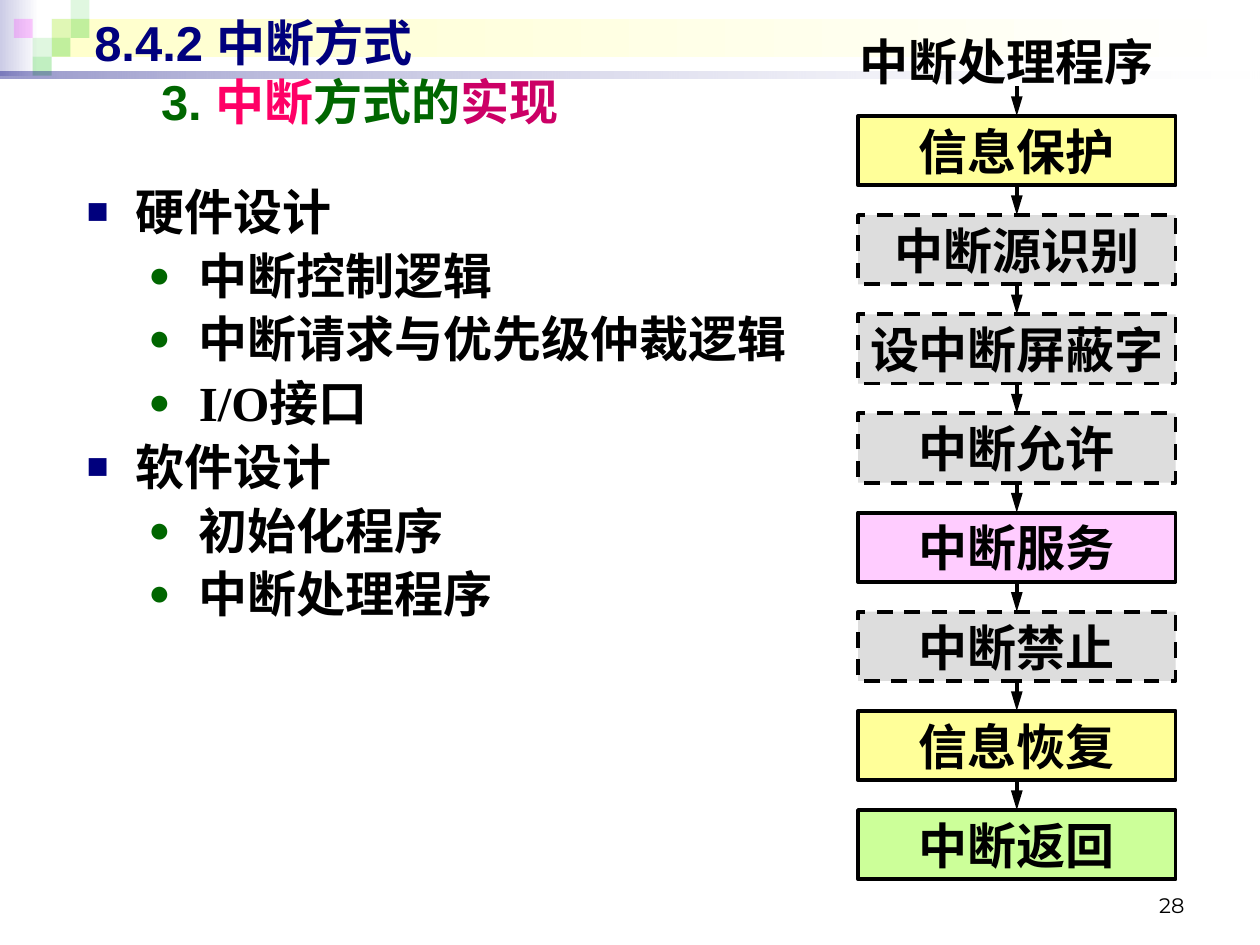
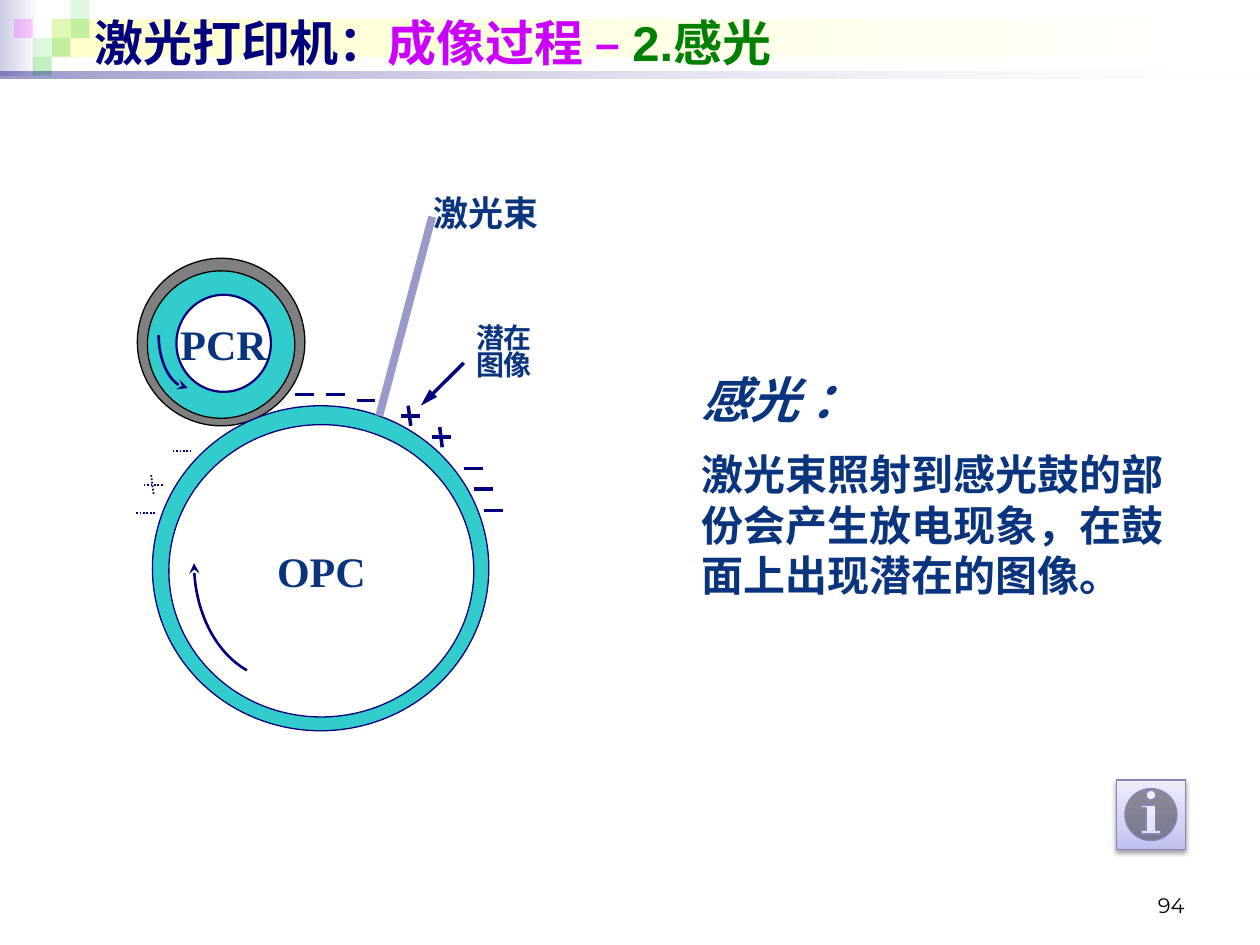
from dataclasses import dataclass
from typing import Optional

from lxml.etree import SubElement
from pptx import Presentation
from pptx.dml.color import RGBColor
from pptx.enum.dml import MSO_LINE_DASH_STYLE as Dash
from pptx.enum.shapes import MSO_CONNECTOR, MSO_SHAPE as Preset
from pptx.enum.text import MSO_ANCHOR as Anchor, PP_ALIGN as Align
from pptx.oxml.ns import qn
from pptx.util import Emu, Inches, Pt

SLIDE_WIDTH, SLIDE_HEIGHT = Inches(10), Inches(7.5)
COLUMN = SLIDE_WIDTH // 100  # grid of 100 columns by 75 rows, square cells

BLACK, WHITE = "000000", "FFFFFF"
NAVY, INK, GREEN, TEAL = "00007D", "0A357E", "006600", "33CCCC"
SANS, SERIF, NUMBER_FONT = "Arial", "Times New Roman", "Montserrat"


@dataclass
class Box:
    left: float
    top: float
    width: float
    height: float


@dataclass
class Stop:
    position: int
    color: str
    alpha: int = 100


@dataclass
class Run:
    text: str
    color: Optional[str] = None


@dataclass
class Bullet:
    symbol: str
    color: str
    margin: float
    hanging: float


@dataclass
class Line:
    runs: list[Run]
    size: float = 28
    font: str = SANS
    color: str = INK
    bold: bool = True
    italic: bool = False
    align: Align = Align.LEFT
    before: float = 0
    spacing: Optional[float] = None
    margin: float = 0
    bullet: Optional[Bullet] = None


@dataclass
class Step:
    label: str
    fill: str
    optional: bool = False


@dataclass
class Charge:
    column: float
    row: float
    positive: bool = False
    faint: bool = False


SQUARE, SQUARES_LEFT = 1.5, 1.1
SQUARES = [(2, 1, "33CC33", 15), (3, 0, "33CC33", 15), (3, 1, "33CC33", 30),
           (1, 2, "33CC33", 15), (0, 1, "FF00FF", 20), (2, 2, "33CC33", 30),
           (1, 3, "33CC33", 30)]

FLOW_LEFT, FLOW_TOP, FLOW_WIDTH = 68.1, 9.2, 25.2
STEP_HEIGHT, ARROW_HEIGHT = 5.5, 2.37
STEPS = [Step("信息保护", "FFFF99"), Step("中断源识别", "DDDDDD", True),
         Step("设中断屏蔽字", "DDDDDD", True), Step("中断允许", "DDDDDD", True),
         Step("中断服务", "FFCCFF"), Step("中断禁止", "DDDDDD", True),
         Step("信息恢复", "FFFF99"), Step("中断返回", "CCFF99")]

DESIGN = [("硬件设计", ["中断控制逻辑", "中断请求与优先级仲裁逻辑", "I/O接口"]),
          ("软件设计", ["初始化程序", "中断处理程序"])]
TOPIC_BULLET = Bullet("■", NAVY, 3.9, 3.9)
ITEM_BULLET = Bullet("●", GREEN, 8.9, 4)

CHARGES = [Charge(23.4, 31.3), Charge(25.9, 31.3), Charge(28.3, 31.8),
           Charge(31.8, 33, positive=True), Charge(34.3, 34.7, positive=True),
           Charge(36.8, 37.2), Charge(37.6, 38.8), Charge(38.4, 40.5),
           Charge(13.7, 35.8, faint=True), Charge(10.8, 40.7, faint=True),
           Charge(11.4, 38.5, positive=True, faint=True)]


def rgb(color: str) -> RGBColor:
    return RGBColor.from_string(color)


def grid(cells: float) -> Emu:
    return Emu(round(cells * COLUMN))


def placed(box: Box) -> list[Emu]:
    return [grid(cells) for cells in (box.left, box.top, box.width, box.height)]


def add_color(parent, color: str, alpha: int = 100):
    element = SubElement(parent, qn("a:srgbClr"), val=color)
    if alpha < 100:
        SubElement(element, qn("a:alpha"), val=str(alpha * 1000))


def style_line(line, color: str, width: float, dash=None):
    line.color.rgb = rgb(color)
    line.width = Pt(width)
    if dash:
        line.dash_style = dash


def add_arrowhead(line_owner, kind: str, length: str):
    SubElement(line_owner.line._get_or_add_ln(), qn("a:tailEnd"), type=kind, len=length)


def add_block(slide, box: Box, fill: Optional[str] = None, alpha: int = 100,
              preset=Preset.RECTANGLE, line: Optional[str] = None,
              width: float = 0.75, dash=None):
    shape = slide.shapes.add_shape(preset, *placed(box))
    shape.shadow.inherit = False
    if fill:
        shape.fill.solid()
        shape.fill.fore_color.rgb = rgb(fill)
        if alpha < 100:
            color = shape._element.spPr.find(qn("a:solidFill"))[0]
            SubElement(color, qn("a:alpha"), val=str(alpha * 1000))
    if line:
        style_line(shape.line, line, width, dash)
    else:
        shape.line.fill.background()
    return shape


def fill_gradient(shape, stops: list[Stop], angle: float = 0):
    shape.fill.gradient()
    shape.fill.gradient_angle = angle
    stop_list = shape._element.spPr.find(qn("a:gradFill")).find(qn("a:gsLst"))
    stop_list.clear()
    for stop in stops:
        element = SubElement(stop_list, qn("a:gs"), pos=str(stop.position * 1000))
        add_color(element, stop.color, stop.alpha)


def add_line(slide, start: tuple, end: tuple, color: str = NAVY,
             width: float = 2, dash=None, arrow: bool = False):
    connector = slide.shapes.add_connector(
        MSO_CONNECTOR.STRAIGHT, *(grid(cells) for cells in (*start, *end)))
    SubElement(connector._element.spPr, qn("a:effectLst"))
    style_line(connector.line, color, width, dash)
    if arrow:
        add_arrowhead(connector, "triangle", "lg")


def add_curved_arrow(slide, *controls: tuple):
    """Draw a cubic curve through sampled points, with a stealth head at its end."""
    points = []
    for t in (i / 24 for i in range(25)):
        weights = ((1 - t) ** 3, 3 * t * (1 - t) ** 2, 3 * t * t * (1 - t), t ** 3)
        points.append(tuple(grid(sum(w * p[axis] for w, p in zip(weights, controls)))
                            for axis in (0, 1)))
    builder = slide.shapes.build_freeform(*points[0])
    builder.add_line_segments(points[1:], close=False)
    arc = builder.convert_to_shape()
    arc.shadow.inherit = False
    arc.fill.background()
    style_line(arc.line, NAVY, 1.5)
    add_arrowhead(arc, "stealth", "med")


def add_bullet(properties, bullet: Bullet):
    properties.set("marL", str(grid(bullet.margin)))
    properties.set("indent", str(-grid(bullet.hanging)))
    add_color(SubElement(properties, qn("a:buClr")), bullet.color)
    SubElement(properties, qn("a:buSzPct"), val="75000")
    SubElement(properties, qn("a:buFont"), typeface=SANS)
    SubElement(properties, qn("a:buChar"), char=bullet.symbol)


def write(shape, lines: list[Line], anchor=Anchor.TOP, wrap: bool = True):
    frame = shape.text_frame
    frame.word_wrap = wrap
    frame.vertical_anchor = anchor
    if not wrap:
        frame.margin_left = frame.margin_right = 0
    for index, line in enumerate(lines):
        paragraph = frame.add_paragraph() if index else frame.paragraphs[0]
        properties = paragraph._p.get_or_add_pPr()
        if line.bullet:
            add_bullet(properties, line.bullet)
        elif line.margin:
            properties.set("marL", str(grid(line.margin)))
        paragraph.alignment = line.align
        if index and line.before:
            paragraph.space_before = Pt(line.before)
        if line.spacing:
            paragraph.line_spacing = line.spacing
        font = paragraph.font
        font.name, font.size = line.font, Pt(line.size)
        font.bold, font.italic = line.bold, line.italic
        font.color.rgb = rgb(line.color)
        for part in line.runs:
            run = paragraph.add_run()
            run.text = part.text
            if part.color:
                run.font.color.rgb = rgb(part.color)


def add_text(slide, box: Box, lines: list[Line], anchor=Anchor.TOP, wrap: bool = True):
    write(slide.shapes.add_textbox(*placed(box)), lines, anchor, wrap)


def add_base_slide(presentation, number: int, title: list[Line], title_height: float):
    """Add a slide with the corner squares, the bands, a title and a page number."""
    slide = presentation.slides.add_slide(presentation.slide_layouts[6])
    fill_gradient(add_block(slide, Box(0, 0, 3.1, 6)),
                  [Stop(0, "CCCCE6"), Stop(100, WHITE)])
    fill_gradient(add_block(slide, Box(4.1, 1.5, 95.5, 3)),
                  [Stop(0, "FFFFCC"), Stop(100, WHITE)])
    for column, row, color, alpha in SQUARES:
        add_block(slide, Box(SQUARES_LEFT + column * SQUARE, row * SQUARE, SQUARE, SQUARE),
                  color, alpha)
    fill_gradient(add_block(slide, Box(0, 5.7, 100, 0.5)),
                  [Stop(0, NAVY, 40), Stop(100, WHITE, 10)])
    add_text(slide, Box(6.5, 0.5, 90, title_height), title,
             Anchor.MIDDLE if len(title) == 1 else Anchor.TOP)
    add_text(slide, Box(71.7, 68.3, 23.3, 5),
             [Line([Run(str(number))], 12, NUMBER_FONT, BLACK, bold=False,
                   align=Align.RIGHT)], Anchor.BOTTOM)
    return slide


def flow_label(text: str) -> list[Line]:
    return [Line([Run(text)], font=SERIF, color=BLACK, align=Align.CENTER)]


def build_interrupt_slide(presentation):
    slide = add_base_slide(presentation, 28, [
        Line([Run("8.4.2 中断方式")], color=NAVY),
        Line([Run("3. "), Run("中断", "FF0066"), Run("方式的"), Run("实现", "CC0066")],
             color=GREEN, margin=5.3)], 11)
    outline = []
    for topic, items in DESIGN:
        outline.append((topic, TOPIC_BULLET))
        outline += [(item, ITEM_BULLET) for item in items]
    add_text(slide, Box(5.9, 13.9, 91.4, 57.5),
             [Line([Run(text)], font=SERIF, color=BLACK, before=2.8, bullet=bullet)
              for text, bullet in outline])

    add_text(slide, Box(67.3, 2.1, FLOW_WIDTH, STEP_HEIGHT), flow_label("中断处理程序"),
             Anchor.MIDDLE, wrap=False)
    center = FLOW_LEFT + FLOW_WIDTH / 2
    for index, step in enumerate(STEPS):
        top = FLOW_TOP + index * (STEP_HEIGHT + ARROW_HEIGHT)
        block = add_block(slide, Box(FLOW_LEFT, top, FLOW_WIDTH, STEP_HEIGHT), step.fill,
                          line=BLACK, width=2.25, dash=Dash.DASH if step.optional else None)
        write(block, flow_label(step.label), Anchor.MIDDLE, wrap=False)
        add_line(slide, (center, top - ARROW_HEIGHT), (center, top), BLACK, 2.25, arrow=True)


def add_circle(slide, box: Box, fill: str, line: str = NAVY, width: float = 0.75,
               label: str = ""):
    circle = add_block(slide, box, fill, preset=Preset.OVAL, line=line, width=width)
    if label:
        write(circle, [Line([Run(label)], 24, SERIF, align=Align.CENTER)],
              Anchor.MIDDLE, wrap=False)


def add_charge(slide, charge: Charge):
    width, dash = (1, Dash.ROUND_DOT) if charge.faint else (2, None)
    x, y = charge.column, charge.row
    add_line(slide, (x, y), (x + 1.5, y), width=width, dash=dash)
    if charge.positive:
        add_line(slide, (x + 0.6, y - 0.8), (x + 0.8, y + 0.8), width=width, dash=dash)


def add_info_button(slide):
    button = add_block(slide, Box(88.6, 61.9, 5.5, 5.5), line="8686B6",
                       preset=Preset.ACTION_BUTTON_INFORMATION)
    fill_gradient(button, [Stop(0, "BFBFF0"), Stop(35, "D2D2F3"), Stop(100, "EDEDFB")], 90)
    shadow = SubElement(button._element.spPr.find(qn("a:effectLst")), qn("a:outerShdw"),
                        blurRad=str(Pt(3.1)), dist=str(Pt(1.6)), dir="5400000")
    add_color(shadow, BLACK, 38)


def build_exposure_slide(presentation):
    slide = add_base_slide(presentation, 94, [
        Line([Run("激光打印机："), Run("成像过程 – ", "CC00FF"), Run("2.感光", "008000")],
             color=NAVY)], 5.7)
    add_text(slide, Box(54.7, 28.8, 40.6, 19.9), [
        Line([Run("感光 ：")], italic=True),
        Line([Run("激光束照射到感光鼓的部份会产生放电现象，在鼓面上出现潜在的图像。")], 24,
             before=12)])

    add_circle(slide, Box(10.9, 20.5, 13.3, 13.3), "808080", BLACK)
    add_circle(slide, Box(11.7, 21.5, 11.7, 11.7), TEAL, BLACK)
    add_circle(slide, Box(14, 23.4, 7.5, 7.7), WHITE, width=1.25, label="PCR")
    add_curved_arrow(slide, (12.6, 26.6), (12.6, 28.8), (13.6, 30.7), (14.9, 30.8))
    add_circle(slide, Box(12.1, 32.2, 26.7, 25.8), TEAL)
    add_circle(slide, Box(13.4, 33.7, 24.2, 23.2), WHITE, label="OPC")
    add_curved_arrow(slide, (19.6, 53.2), (17.1, 51.8), (15.4, 48.5), (15.4, 44.7))

    for charge in CHARGES:
        add_charge(slide, charge)
    add_line(slide, (34.3, 17.2), (30.1, 33), "9999CC", 4.5)
    add_text(slide, Box(33.4, 14.7, 18.9, 4.3), [Line([Run("激光束")], 20)])
    add_text(slide, Box(36.8, 25.5, 10, 5.3),
             [Line([Run(text)], 16, spacing=0.8) for text in ("潜在", "图像")])
    add_line(slide, (36.8, 28.8), (33.4, 32.2), arrow=True)
    add_info_button(slide)


def main():
    presentation = Presentation()
    presentation.slide_width, presentation.slide_height = SLIDE_WIDTH, SLIDE_HEIGHT
    build_interrupt_slide(presentation)
    build_exposure_slide(presentation)
    presentation.save("out.pptx")


if __name__ == "__main__":
    main()
